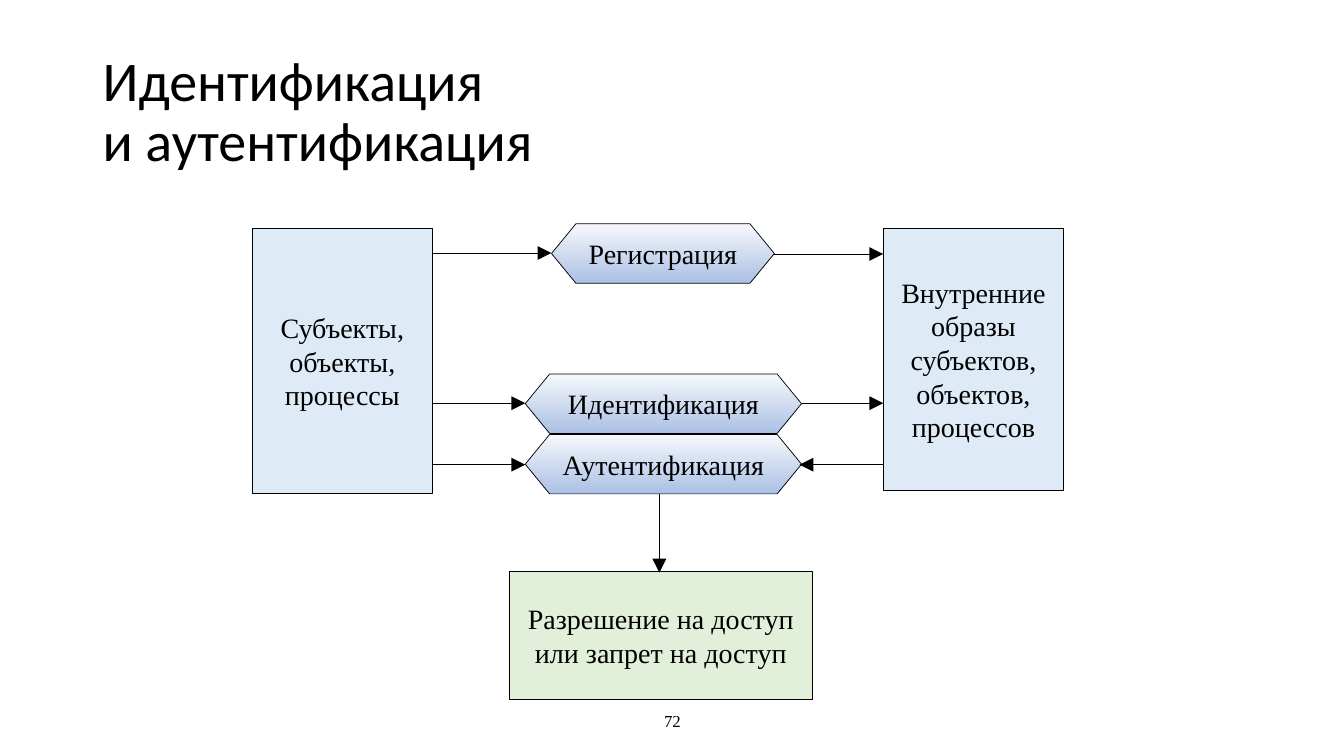
from lxml import etree
from pptx import Presentation
from pptx.dml.color import RGBColor
from pptx.enum import shapes, text
from pptx.oxml import ns
from pptx.util import Inches, Pt

BLACK = RGBColor(0x00, 0x00, 0x00)
PALE_BLUE = RGBColor(0xDE, 0xEB, 0xF7)
PALE_GREEN = RGBColor(0xE2, 0xF0, 0xD9)
STEP_TOP = RGBColor(0xF6, 0xF8, 0xFC)
STEP_BOTTOM = RGBColor(0xAB, 0xC0, 0xE4)

deck = Presentation()
deck.slide_width, deck.slide_height = Inches(13.33), Inches(7.5)
slide = deck.slides.add_slide(deck.slide_layouts[6])


def style_text(shape, size, font="Times New Roman", align=text.PP_ALIGN.CENTER):
    frame = shape.text_frame
    frame.word_wrap = True
    frame.vertical_anchor = text.MSO_ANCHOR.MIDDLE
    paragraph = frame.paragraphs[0]
    paragraph.alignment = align
    paragraph.font.size = Pt(size)
    paragraph.font.name = font
    paragraph.font.color.rgb = BLACK
    return paragraph


def add_block(kind, label, left, top, width, height):
    block = slide.shapes.add_shape(
        kind, Inches(left), Inches(top), Inches(width), Inches(height))
    block.shadow.inherit = False
    block.line.color.rgb = BLACK
    block.line.width = Pt(0.5)
    block.text_frame.text = label
    style_text(block, 20)
    return block


# Title
title = slide.shapes.add_textbox(Inches(0.92), Inches(0.4), Inches(11.5), Inches(1.45))
heading = style_text(title, 40, "Calibri", text.PP_ALIGN.LEFT)
heading.line_spacing = 0.9
heading.add_run().text = "Идентификация"
heading.add_line_break()
heading.add_run().text = "и аутентификация"

# Slide number
number = slide.shapes.add_textbox(Inches(4.42), Inches(6.95), Inches(4.5), Inches(0.4))
number.text_frame.text = "72"
style_text(number, 12)

# Parties and outcome
for label, left, top, width, height, color in [
    ("Субъекты, объекты, процессы", 2.5, 2.27, 1.79, 2.62, PALE_BLUE),
    ("Внутренние образы субъектов, объектов, процессов", 8.76, 2.27, 1.79, 2.59, PALE_BLUE),
    ("Разрешение на доступ или запрет на доступ", 5.05, 5.67, 3.01, 1.27, PALE_GREEN),
]:
    box = add_block(shapes.MSO_SHAPE.RECTANGLE, label, left, top, width, height)
    box.fill.solid()
    box.fill.fore_color.rgb = color

# Steps
for label, left, top, width in [
    ("Регистрация", 5.47, 2.22, 2.21),
    ("Идентификация", 5.21, 3.71, 2.74),
    ("Аутентификация", 5.21, 4.31, 2.74),
]:
    step = add_block(shapes.MSO_SHAPE.HEXAGON, label, left, top, width, 0.59)
    step.adjustments[0] = 0.41
    step.text_frame.margin_left = step.text_frame.margin_right = 0
    step.fill.gradient()
    step.fill.gradient_angle = 270
    for stop, color in zip(step.fill.gradient_stops, (STEP_TOP, STEP_BOTTOM)):
        stop.color.rgb = color

# Arrows
for x1, y1, x2, y2 in [
    (4.29, 2.51, 5.47, 2.51),
    (4.29, 4, 5.21, 4),
    (4.29, 4.61, 5.21, 4.61),
    (7.68, 2.52, 8.76, 2.52),
    (7.95, 4, 8.76, 4),
    (8.76, 4.61, 7.93, 4.61),
    (6.54, 4.9, 6.54, 5.68),
]:
    arrow = slide.shapes.add_connector(
        shapes.MSO_CONNECTOR.STRAIGHT, Inches(x1), Inches(y1), Inches(x2), Inches(y2))
    arrow.line.color.rgb = BLACK
    arrow.line.width = Pt(0.5)
    head = etree.SubElement(arrow.line._get_or_add_ln(), ns.qn("a:tailEnd"))
    head.set("type", "triangle")
    head.set("w", "lg")
    head.set("len", "lg")
    etree.SubElement(arrow._element.spPr, ns.qn("a:effectLst"))

deck.save("out.pptx")
